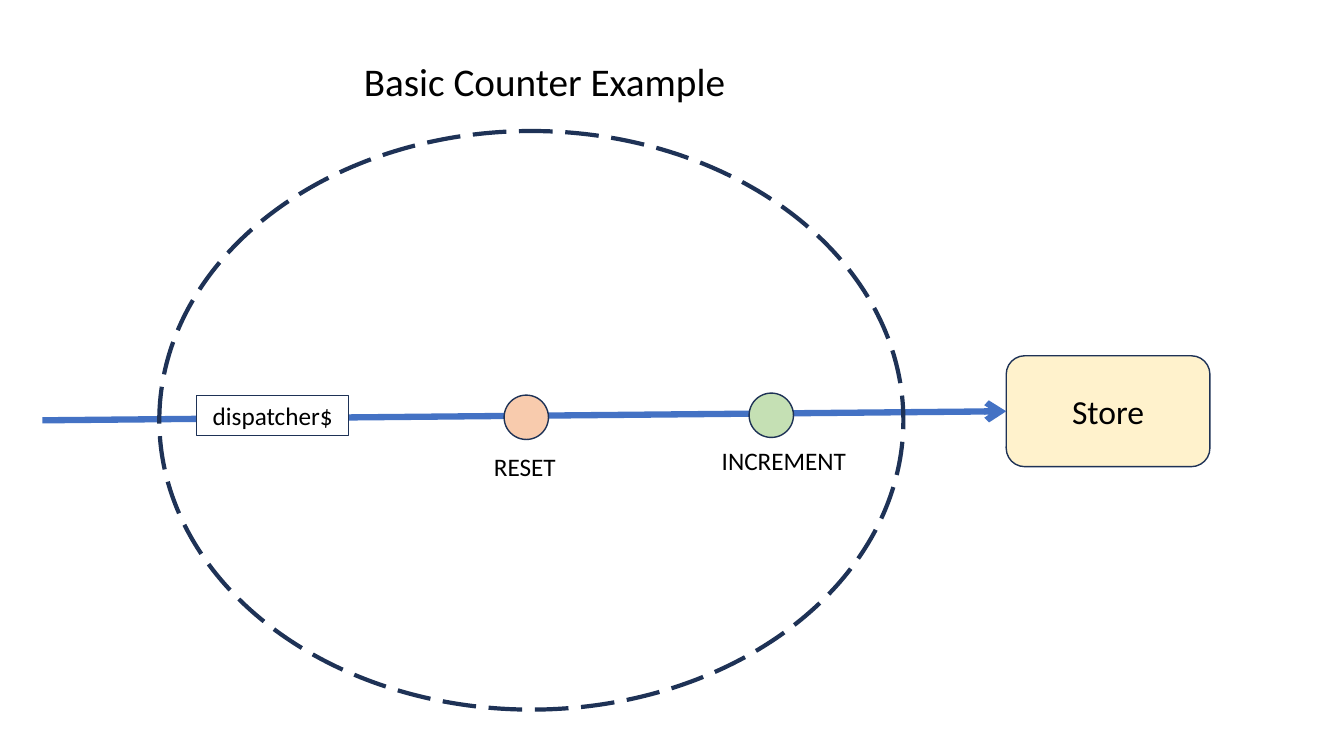
import pptx
import pptx.dml.color
import pptx.enum.dml
import pptx.enum.shapes
import pptx.enum.text
import pptx.oxml
import pptx.oxml.ns
import pptx.util

PX = 9144  # 100 px to the inch
NAVY = "1E3256"
BLUE = "4472C4"
SHAPES = pptx.enum.shapes.MSO_SHAPE
CENTER = pptx.enum.text.PP_ALIGN.CENTER
LEFT = pptx.enum.text.PP_ALIGN.LEFT
MIDDLE = pptx.enum.text.MSO_ANCHOR.MIDDLE
TOP = pptx.enum.text.MSO_ANCHOR.TOP


def px(*lengths):
    return [pptx.util.Emu(length * PX) for length in lengths]


def color(code):
    return pptx.dml.color.RGBColor.from_string(code)


def write(shape, text, size=18, align=LEFT, anchor=TOP):
    frame = shape.text_frame
    frame.word_wrap = True
    frame.vertical_anchor = anchor
    para = frame.paragraphs[0]
    para.alignment = align
    span = para.add_run()
    span.text = text
    span.font.name = "Calibri"
    span.font.size = pptx.util.Pt(size)
    span.font.color.rgb = color("000000")


def add_label(page, box, text, **text_format):
    write(page.shapes.add_textbox(*px(*box)), text, **text_format)


def add_outlined(page, kind, box, fill=None, width=1):
    shape = page.shapes.add_shape(kind, *px(*box))
    shape.shadow.inherit = False
    if fill:
        shape.fill.solid()
        shape.fill.fore_color.rgb = color(fill)
    else:
        shape.fill.background()
    shape.line.color.rgb = color(NAVY)
    shape.line.width = pptx.util.Pt(width)
    return shape


def add_store(page, box):
    store = add_outlined(page, SHAPES.ROUNDED_RECTANGLE, box, "FFF2CC")
    write(store, "Store", size=24, align=CENTER, anchor=MIDDLE)
    return store


def add_stream(page, start, store):
    stream = page.shapes.add_connector(
        pptx.enum.shapes.MSO_CONNECTOR.STRAIGHT, *px(*start, *start))
    stream.end_connect(store, 1)
    stream.line.color.rgb = color(BLUE)
    stream.line.width = pptx.util.Pt(4.5)
    # Arrowhead, and no shadow
    namespace = pptx.oxml.ns.nsdecls("a")
    stream.line._get_or_add_ln().append(
        pptx.oxml.parse_xml(f'<a:tailEnd {namespace} type="arrow"/>'))
    stream._element.spPr.append(
        pptx.oxml.parse_xml(f"<a:effectLst {namespace}/>"))


def add_action(page, box, text, fill, label_offset):
    """Dot on the stream, with its name below."""
    left, top, width, height = box
    add_outlined(page, SHAPES.OVAL, box, fill)
    shift, drop = label_offset
    add_label(page, (left + shift, top + height + drop, 160, 40), text)


def add_counter(page, box):
    """Dashed boundary with the dispatcher and its two actions."""
    left, top, width, height = box
    boundary = add_outlined(page, SHAPES.OVAL, box, width=3)
    boundary.line.dash_style = pptx.enum.dml.MSO_LINE.LONG_DASH
    dispatcher = add_outlined(
        page, SHAPES.RECTANGLE, (left + 37, top + 262, 151, 40), "FFFFFF", 0.75)
    write(dispatcher, "dispatcher$", align=CENTER)
    actions = [
        ("RESET", "F8CBAD", 342, 262, (-20, 7)),
        ("INCREMENT", "C5E0B4", 585, 260, (-37, 3)),
    ]
    for text, fill, across, down, label_offset in actions:
        add_action(page, (left + across, top + down, 44, 44),
                   text, fill, label_offset)


def main():
    deck = pptx.Presentation()
    deck.slide_width, deck.slide_height = px(1333, 750)
    page = deck.slides.add_slide(deck.slide_layouts[6])
    store = add_store(page, (998, 353, 202, 110))
    add_stream(page, (42, 417), store)
    add_label(page, (351, 52, 435, 104), "Basic Counter Example", size=28)
    add_counter(page, (158, 130, 738, 574))
    deck.save("out.pptx")


if __name__ == "__main__":
    main()
